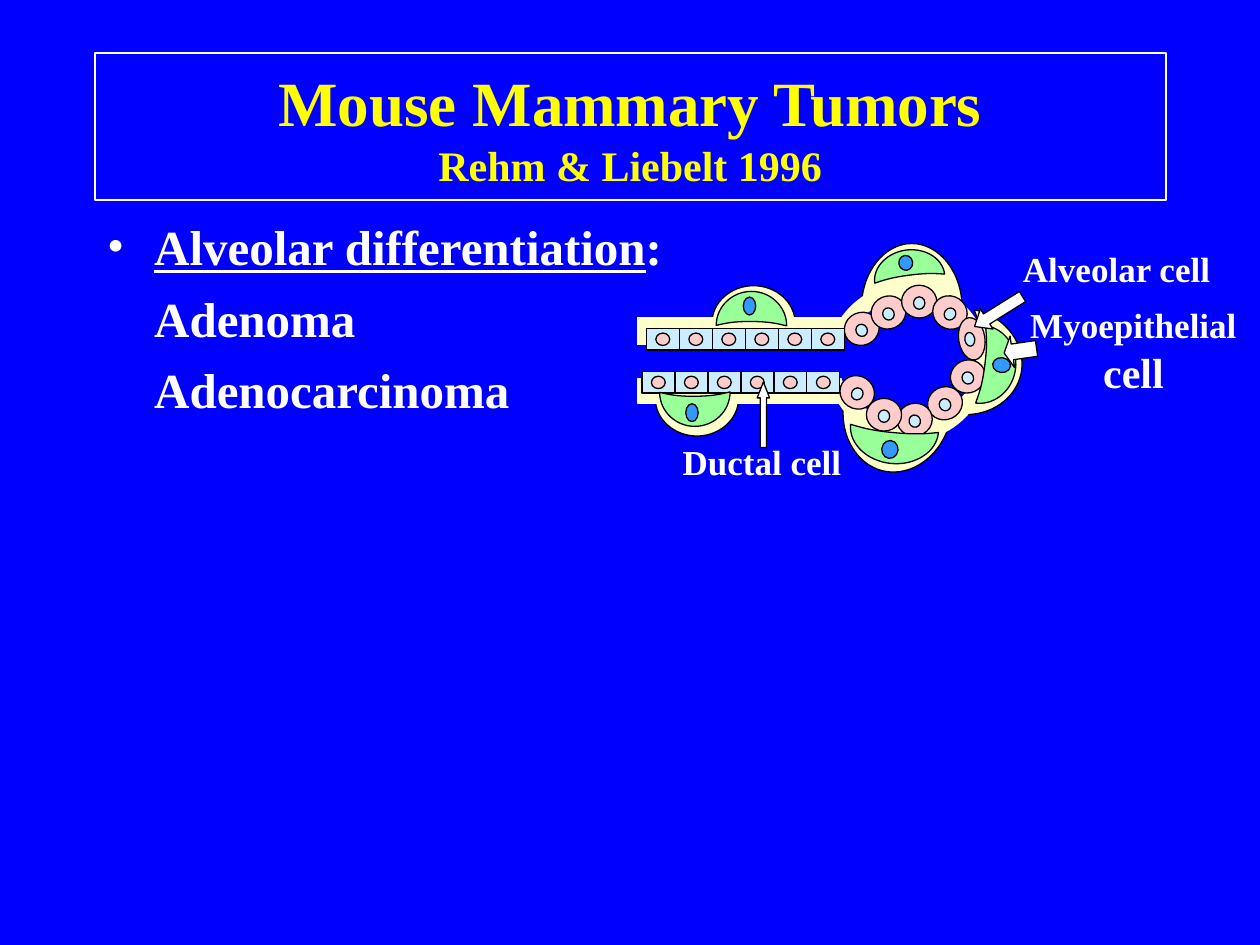
from lxml import etree
from pptx import Presentation
from pptx import util as u
from pptx.dml.color import RGBColor
from pptx.enum import shapes, text
from pptx.oxml import ns

COLOURS = {
    "blue": "0000FF", "yellow": "FFFF00", "white": "FFFFFF", "black": "000000",
    "cream": "FFFFCC", "pink": "FFCCCC", "sky": "CCECFF", "green": "99FF99",
    "nucleus": "3399FF",
}
FONT = "Times New Roman"
KIND = shapes.MSO_SHAPE


def colour(name):
    return RGBColor.from_string(COLOURS[name])


def paint(shape, fill, line="black", rotation=0):
    shape.shadow.inherit = False
    shape.fill.solid()
    shape.fill.fore_color.rgb = colour(fill)
    shape.line.color.rgb = colour(line)
    shape.line.width = u.Pt(0.75)
    shape.rotation = rotation


def add_span(para, words, size, ink="white", **extra):
    span = para.add_run()
    span.text = words
    for name, value in {"name": FONT, "size": u.Pt(size), "bold": True, **extra}.items():
        setattr(span.font, name, value)
    span.font.color.rgb = colour(ink)


def add_box(parent, left, top, width, height, anchor=text.MSO_ANCHOR.MIDDLE, wrap=True):
    box = parent.add_textbox(*map(u.Cm, (left, top, width, height)))
    box.text_frame.word_wrap = wrap
    box.text_frame.vertical_anchor = anchor
    return box


def add_title(page, area):
    box = add_box(page.shapes, *area)
    box.line.color.rgb = colour("white")
    box.line.width = u.Pt(1)
    para = box.text_frame.paragraphs[0]
    para.alignment = text.PP_ALIGN.CENTER
    add_span(para, "Mouse Mammary Tumors", 36, "yellow")
    para.add_line_break()
    add_span(para, "Rehm & Liebelt 1996", 24, "yellow")


def add_body(page, area):
    frame = add_box(page.shapes, *area, anchor=text.MSO_ANCHOR.TOP).text_frame
    heading = frame.paragraphs[0]
    props = heading._p.get_or_add_pPr()
    indent = u.Cm(0.95)
    props.set("marL", str(indent))
    props.set("indent", str(-indent))
    etree.SubElement(props, ns.qn("a:buFont")).set("typeface", FONT)
    etree.SubElement(props, ns.qn("a:buChar")).set("char", "•")
    add_span(heading, "Alveolar differentiation", 28, underline=True)
    add_span(heading, ":", 28)
    for words in ("Adenoma", "Adenocarcinoma"):
        para = frame.add_paragraph()
        para._p.get_or_add_pPr().set("marL", str(indent))
        para.space_before = u.Pt(7)
        add_span(para, words, 28)


def cap_outline(dip):
    """Control points of a unit crescent bulging left; dip is its inner depth."""
    return [
        (1, 1),
        (1 - dip / 2, 0.87), (1 - dip, 0.77), (1 - dip, 0.5),
        (1 - dip, 0.23), (1 - dip / 2, 0.13), (1, 0),
        (0.44, 0), (0, 0.23), (0, 0.5),
        (0, 0.77), (0.44, 1), (1, 1),
    ]


def bend(shape):
    """Turn each three line segments into one cubic curve."""
    lines = list(shape._element.iter(ns.qn("a:lnTo")))
    for first, second, end in zip(lines[::3], lines[1::3], lines[2::3]):
        first.tag = ns.qn("a:cubicBezTo")
        for line in (second, end):
            first.append(line[0])
            line.getparent().remove(line)


class Figure:
    """Group whose parts are placed by centre, in cm from its left and top."""

    def __init__(self, page, left, top):
        self.group = page.shapes.add_group_shape().shapes
        self.left, self.top = left, top

    def corner(self, x, y, width, height):
        return self.left + x - width / 2, self.top + y - height / 2

    def shape(self, kind, x, y, width, height, fill, line="black", rotation=0, adjust=()):
        left, top = self.corner(x, y, width, height)
        shape = self.group.add_shape(kind, *map(u.Cm, (left, top, width, height)))
        for index, value in enumerate(adjust):
            shape.adjustments[index] = value
        paint(shape, fill, line, rotation)

    def cap(self, x, y, depth, span, rotation, fill, dip):
        left, top = self.corner(x, y, depth, span)
        points = [(u.Cm(left + px * depth), u.Cm(top + py * span)) for px, py in cap_outline(dip)]
        builder = self.group.build_freeform(*points[0], scale=1.0)
        builder.add_line_segments(points[1:], close=True)
        shape = builder.convert_to_shape()
        bend(shape)
        paint(shape, fill, rotation=rotation)

    def label(self, x, y, width, height, spans, wrap=False):
        box = add_box(self.group, *self.corner(x, y, width, height), width, height, wrap=wrap)
        para = box.text_frame.paragraphs[0]
        para.alignment = text.PP_ALIGN.CENTER
        for words, size in spans:
            add_span(para, words, size)


def add_membrane(figure):
    for x, y, depth, span, rotation, dip in (
        (5.68, 0.99, 1.3, 2.03, 90, 0.28),
        (5.25, 4.29, 1.3, 2.18, 283.2, 0.28),
        (7.3, 2.84, 1.19, 2.13, 192, 0.28),
        (2.49, 1.57, 0.76, 1.68, 90, 0.13),
        (1.35, 3.84, 0.76, 1.68, 270, 0.13),
    ):
        figure.cap(x, y, depth, span, rotation, "cream", dip)
    figure.shape(KIND.RECTANGLE, 2.24, 2.69, 4.17, 1.73, "cream", "cream")
    figure.shape(KIND.OVAL, 5.6, 2.73, 3.23, 3.18, "cream", "cream", 351.2)
    figure.shape(KIND.RECTANGLE, 2.15, 2.71, 4.34, 0.64, "blue", "blue")
    figure.shape(KIND.OVAL, 5.59, 2.71, 2.74, 2.36, "blue", "blue")


def add_alveolar_cells(figure):
    round_cell, round_nucleus = (0.66, 0.71), (0.25, 0.23)
    cells = [
        (4.67, 2.06, 65.6), (6.35, 3.56, 65.6), (5.74, 3.89, 75.5),
        (5.21, 1.73, 65.6), (6.81, 3.02, 65.6), (5.83, 1.51, 91.4),
        (5.12, 3.79, 91.4), (6.45, 1.73, 123.4), (4.58, 3.34, 123.4),
    ]
    for x, y, rotation in cells:
        figure.shape(KIND.OVAL, x, y, *round_cell, "pink", rotation=rotation)
        figure.shape(KIND.OVAL, x, y + 0.03, *round_nucleus, "sky", rotation=rotation)
    figure.shape(KIND.OVAL, 6.89, 2.26, 0.53, 0.86, "pink", rotation=171.3)
    figure.shape(KIND.OVAL, 6.85, 2.27, 0.2, 0.28, "sky", rotation=171.3)


def add_ductal_cells(figure):
    columns, row_width = 6, 3.99
    pitch = row_width / columns
    for left, y in ((0.33, 2.27), (0.24, 3.14)):
        centres = [left + (column + 0.5) * pitch for column in range(columns)]
        for x in centres:
            figure.shape(KIND.RECTANGLE, x, y, pitch, 0.43, "sky")
        for x in centres:
            figure.shape(KIND.OVAL, x, y, 0.28, 0.25, "pink")


def add_myoepithelial_cells(figure):
    for cap, nucleus, turn in (
        ((2.45, 1.65, 0.69, 1.42, 90.4), (2.41, 1.6, 0.25, 0.36), 0),
        ((1.31, 3.68, 0.69, 1.42, 269.6), (1.25, 3.75, 0.25, 0.36), 0),
        ((5.6, 0.76, 0.58, 1.42, 82.6), (5.56, 0.73, 0.28, 0.3), 352.2),
        ((5.3, 4.42, 0.71, 1.78, 275.3), (5.24, 4.49, 0.33, 0.36), 5.7),
        ((7.42, 2.82, 0.71, 1.57, 187.3), (7.49, 2.79, 0.3, 0.36), 96.9),
    ):
        figure.cap(*cap, "green", 0.12)
        figure.shape(KIND.OVAL, *nucleus, "nucleus", rotation=turn)


def add_callouts(figure):
    for kind, area, rotation, head in (
        (KIND.LEFT_ARROW, (7.43, 1.71, 1.14, 0.48), 328, 0.6),
        (KIND.LEFT_ARROW, (7.87, 2.5, 0.66, 0.64), 351.9, 0.26),
        (KIND.UP_ARROW, (2.69, 3.79, 0.25, 1.32), 0, 1.29),
    ):
        figure.shape(kind, *area, "white", rotation=rotation, adjust=(0.5, head))
    figure.label(9.81, 0.84, 4.29, 1.12, [("Alveolar cell", 20)])
    figure.label(10.15, 2.42, 5.11, 2.29, [("Myoepithelial", 20), (" cell", 24)], wrap=True)
    figure.label(2.66, 4.74, 3.71, 1.12, [("Ductal cell", 20)])


def main():
    deck = Presentation()
    deck.slide_width, deck.slide_height = u.Cm(25.4), u.Cm(19.05)
    page = deck.slides.add_slide(deck.slide_layouts[6])
    page.background.fill.solid()
    page.background.fill.fore_color.rgb = colour("blue")
    add_title(page, (1.91, 1.07, 21.59, 2.96))
    add_body(page, (1.91, 4.25, 22.23, 13.55))
    figure = Figure(page, 12.7, 4.57)
    for add_part in (add_membrane, add_alveolar_cells, add_ductal_cells,
                     add_myoepithelial_cells, add_callouts):
        add_part(figure)
    deck.save("out.pptx")


if __name__ == "__main__":
    main()
